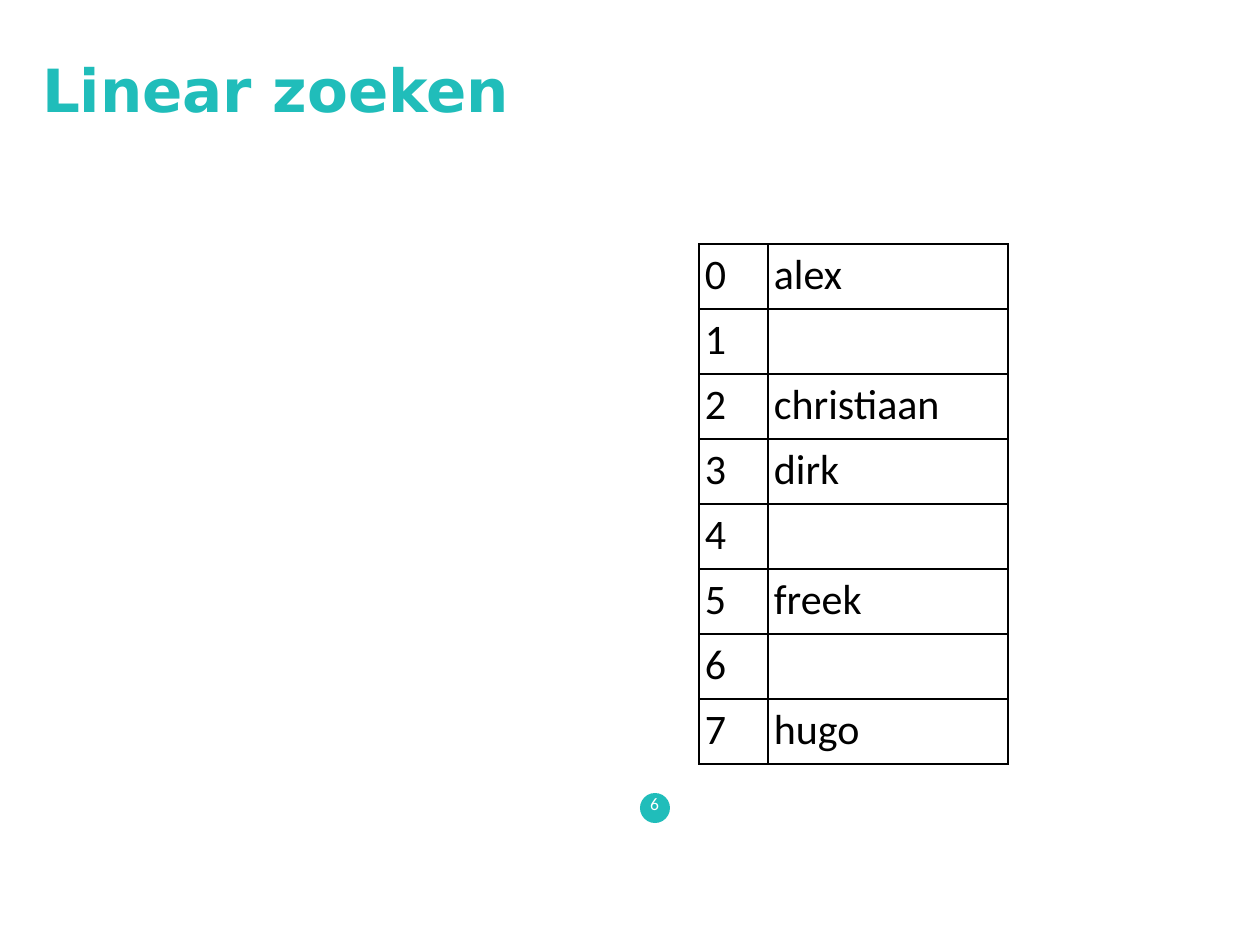
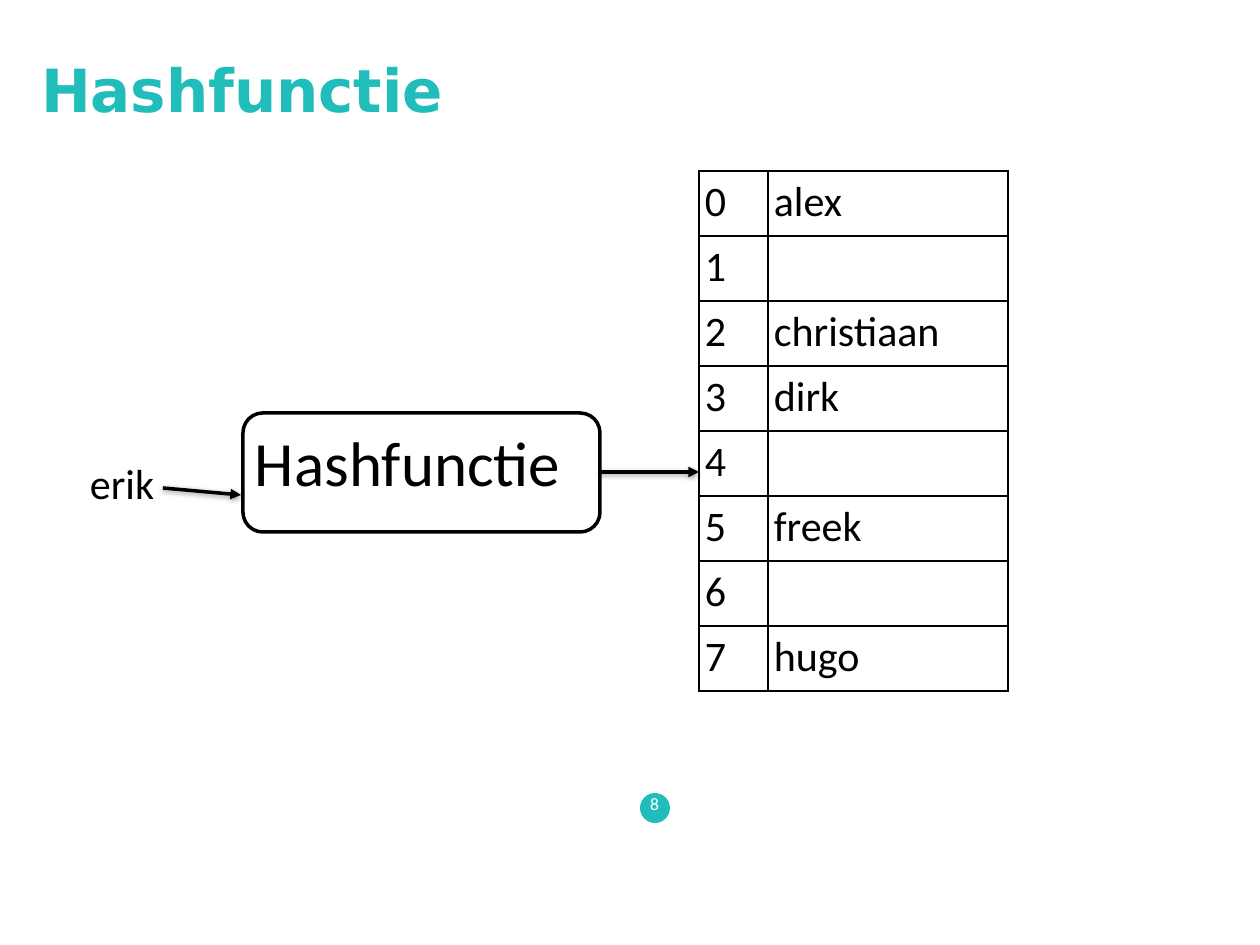
from lxml.etree import SubElement
from pptx import Presentation
from pptx.dml.color import RGBColor
from pptx.enum.shapes import MSO_CONNECTOR, MSO_SHAPE
from pptx.enum.text import MSO_ANCHOR, MSO_AUTO_SIZE, PP_ALIGN
from pptx.oxml import parse_xml
from pptx.oxml.ns import nsdecls, qn
from pptx.util import Pt

PX = 7257  # EMU in one pixel, 126 pixels to the inch
INSET = 6 * PX
TEAL, BLACK, WHITE = "20BDBA", "000000", "FFFFFF"
BODY_FONT, TITLE_FONT = "Calibri", "DejaVu Sans"

TABLE_LEFT, INDEX_WIDTH, NAME_WIDTH, ROW_HEIGHT = 699, 69, 240, 65
NAMES = ["alex", "", "christiaan", "dirk", "", "freek", "", "hugo"]
PAGES = [("Linear zoeken", 36, 244, "6"), ("Hashfunctie", 35, 171, "8")]

BORDER = (
    '<a:{side} {ns} w="12700"><a:solidFill><a:srgbClr val="{color}"/></a:solidFill></a:{side}>'
)
ARROW_SHADOW = (
    f'<a:effectLst {nsdecls("a")}><a:outerShdw blurRad="38100" dist="12700" dir="5400000">'
    f'<a:srgbClr val="{BLACK}"><a:alpha val="38000"/></a:srgbClr></a:outerShdw></a:effectLst>'
)


def rgb(hex_color):
    return RGBColor.from_string(hex_color)


def style_text(frame, text, size, color=BLACK, font=BODY_FONT, bold=False, wrap=True):
    """Fill a text frame with one left-aligned paragraph and equal insets."""
    frame.margin_left = frame.margin_right = INSET
    frame.margin_top = frame.margin_bottom = INSET
    frame.word_wrap = wrap
    frame.text = text
    paragraph = frame.paragraphs[0]
    paragraph.alignment = PP_ALIGN.LEFT
    paragraph.font.size = Pt(size)
    for run in paragraph.runs:
        run.font.size, run.font.name, run.font.bold = Pt(size), font, bold
        run.font.color.rgb = rgb(color)


prs = Presentation()
prs.slide_width, prs.slide_height = 1260 * PX, 945 * PX

for heading, heading_left, table_top, page_number in PAGES:
    slide = prs.slides.add_slide(prs.slide_layouts[5])

    # Page number on its teal dot
    dot = slide.shapes.add_shape(MSO_SHAPE.OVAL, 640 * PX, 793 * PX, 30 * PX, 30 * PX)
    dot.shadow.inherit = False
    dot.fill.solid()
    dot.fill.fore_color.rgb = rgb(TEAL)
    dot.line.fill.background()
    number = slide.shapes.add_textbox(643 * PX, 786 * PX, 23 * PX, 35 * PX).text_frame
    style_text(number, page_number, 10, WHITE, wrap=False)
    number.vertical_anchor = MSO_ANCHOR.MIDDLE
    number.paragraphs[0].alignment = PP_ALIGN.CENTER

    # Title
    title = slide.shapes.title
    title.left, title.top = heading_left * PX, 30 * PX
    title.width, title.height = 1134 * PX, 118 * PX
    style_text(title.text_frame, heading, 34, TEAL, TITLE_FONT, bold=True)
    title.text_frame.auto_size = MSO_AUTO_SIZE.NONE
    title.text_frame.vertical_anchor = MSO_ANCHOR.MIDDLE

    # Hash table: index and name
    table = slide.shapes.add_table(
        len(NAMES), 2, TABLE_LEFT * PX, table_top * PX,
        (INDEX_WIDTH + NAME_WIDTH) * PX, len(NAMES) * ROW_HEIGHT * PX,
    ).table
    table.first_row = table.horz_banding = False
    table.columns[0].width, table.columns[1].width = INDEX_WIDTH * PX, NAME_WIDTH * PX
    for index, name in enumerate(NAMES):
        table.rows[index].height = ROW_HEIGHT * PX
        for cell, text in zip(table.rows[index].cells, (str(index), name)):
            style_text(cell.text_frame, text, 24)
            cell.margin_left = cell.margin_right = INSET
            cell.margin_top = cell.margin_bottom = INSET
            properties = cell._tc.get_or_add_tcPr()
            for attribute in ("wrap", "lIns", "rIns", "tIns", "bIns"):
                properties.attrib.pop(attribute, None)
            for side in ("lnL", "lnR", "lnT", "lnB"):
                properties.append(
                    parse_xml(BORDER.format(side=side, ns=nsdecls("a"), color=BLACK))
                )
            cell.fill.background()

# The key runs through the hash function to a row of the table on the last slide
hash_group = slide.shapes.add_group_shape()
hash_box = hash_group.shapes.add_shape(
    MSO_SHAPE.ROUNDED_RECTANGLE, 243 * PX, 413 * PX, 357 * PX, 119 * PX
)
hash_box.shadow.inherit = False
hash_box.fill.solid()
hash_box.fill.fore_color.rgb = rgb(WHITE)
hash_box.line.color.rgb = rgb(BLACK)
hash_box.line.width = Pt(2)
hash_label = hash_group.shapes.add_textbox(249 * PX, 418 * PX, 345 * PX, 90 * PX)
style_text(hash_label.text_frame, "Hashfunctie", 36)

key_label = slide.shapes.add_textbox(84 * PX, 452 * PX, 78 * PX, 63 * PX)
style_text(key_label.text_frame, "erik", 24, wrap=False)

for start_x, start_y, end_x, end_y in [(163, 488, 241, 495), (600, 472, 699, 472)]:
    arrow = slide.shapes.add_connector(
        MSO_CONNECTOR.STRAIGHT, start_x * PX, start_y * PX, end_x * PX, end_y * PX
    )
    arrow.line.color.rgb = rgb(BLACK)
    arrow.line.width = Pt(2)
    SubElement(arrow.line._get_or_add_ln(), qn("a:tailEnd"), type="triangle")
    arrow._element.spPr.append(parse_xml(ARROW_SHADOW))

prs.save("out.pptx")
